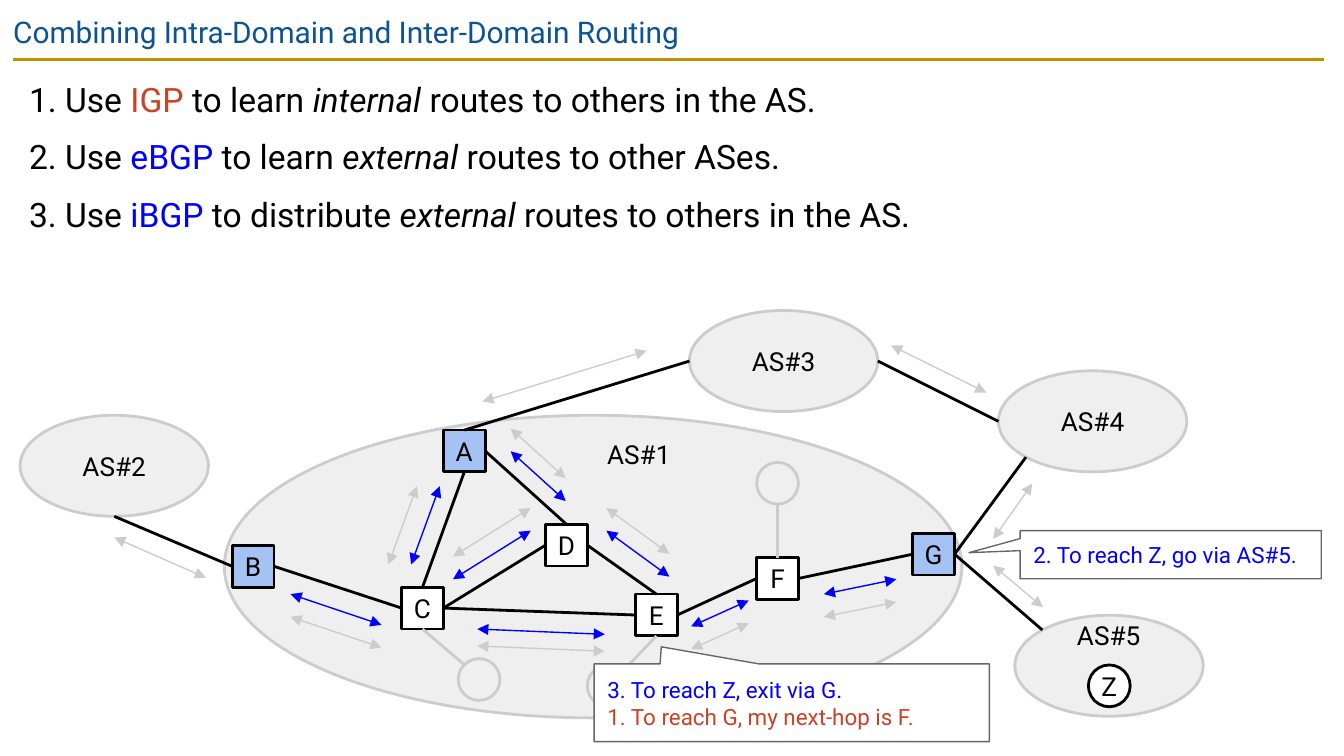
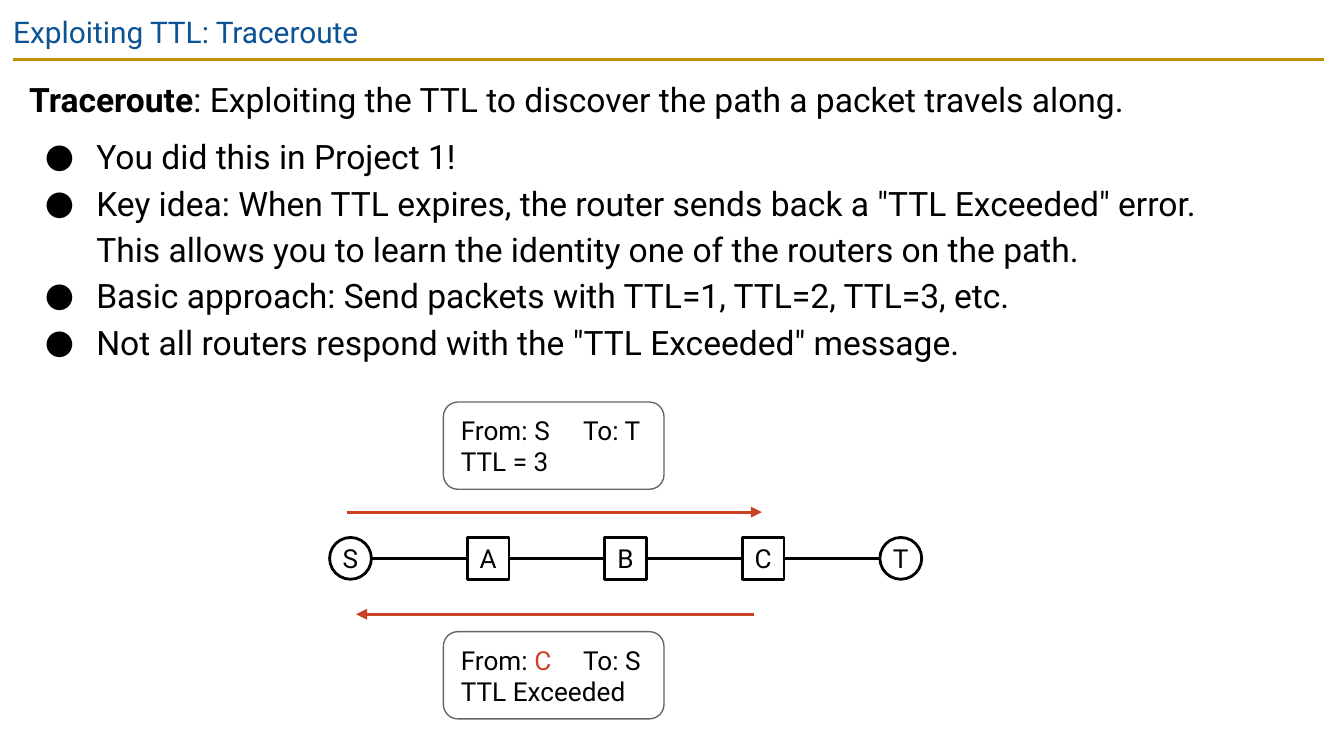
from lxml.etree import SubElement
from pptx import Presentation
from pptx.dml.color import RGBColor
from pptx.enum.shapes import MSO_CONNECTOR, MSO_SHAPE as Preset
from pptx.enum.text import MSO_ANCHOR as Anchor, MSO_AUTO_SIZE, PP_ALIGN as Align
from pptx.oxml.ns import qn
from pptx.util import Cm, Pt

FONT = "Roboto"
BLACK, WHITE, RED, BLUE = "000000", "FFFFFF", "CC4125", "0000FF"
TITLE_BLUE, GOLD, BORDER = "0B5394", "BF9000", "666666"
CLOUD_FILL, GRAY, EDGE_ROUTER = "EFEFEF", "CCCCCC", "A4C2F4"

NODE = 0.79
CLOUD_SIZE = (3.56, 1.91)
LABEL_SIZE = (2.31, 1.12)
PACKET_SIZE = (4.17, 1.65)
SIDES = {
    "top": (0.5, 0), "bottom": (0.5, 1), "left": (0, 0.5), "right": (1, 0.5),
    "top left": (0.146, 0.146), "top right": (0.854, 0.146), "bottom left": (0.146, 0.854),
}

ITALIC, BOLD = {"italic": True}, {"bold": True}
IN_RED, IN_BLUE = {"color": RED}, {"color": BLUE}

ROUTING_TITLE = "Combining Intra-Domain and Inter-Domain Routing"
ROUTING_STEPS = [
    [("1. Use ", {}), ("IGP", IN_RED), (" to learn ", {}), ("internal", ITALIC),
     (" routes to others in the AS.", {})],
    [("2. Use ", {}), ("eBGP", IN_BLUE), (" to learn ", {}), ("external", ITALIC),
     (" routes to other ASes.", {})],
    [("3. Use ", {}), ("iBGP", IN_BLUE), (" to distribute ", {}), ("external", ITALIC),
     (" routes to others in the AS.", {})],
]
MAIN_CLOUD = (4.24, 7.85, 13.94, 5.72)
CLOUDS = {
    "AS#2": (0.38, 7.85), "AS#3": (13.03, 5.87), "AS#4": (18.87, 7.01), "AS#5": (19.18, 11.63),
}
CLOUD_LABELS = {"AS#1": (10.92, 8.03), "AS#5": (19.8, 11.45)}
ROUTERS = {
    "A": (8.38, 8.13), "B": (4.39, 10.31), "C": (7.59, 11.1), "D": (10.31, 9.91),
    "E": (12.01, 11.23), "F": (14.3, 10.54), "G": (17.25, 10.08),
}
EDGE_ROUTERS = "ABG"
HOST_Z = (20.57, 12.57)
STUBS = {
    "C": (8.66, 12.45, "bottom", "top left"),
    "E": (11.1, 12.57, "bottom", "top right"),
    "F": (14.3, 8.74, "top", "bottom"),
}
LINKS = [
    ("B", "right", "C", "left"), ("C", "right", "D", "left"), ("C", "top", "A", "bottom"),
    ("A", "right", "D", "top"), ("C", "right", "E", "left"), ("E", "top", "D", "right"),
    ("E", "right", "F", "left"), ("F", "right", "G", "left"),
    ("AS#5", "top left", "G", "right"), ("AS#4", "bottom left", "G", "right"),
    ("AS#4", "left", "AS#3", "right"), ("AS#3", "left", "A", "top"),
    ("AS#2", "bottom", "B", "left"),
]
INTERNAL_SESSIONS = [
    ((5.49, 11.23), (7.21, 11.81), (0, 0.43)),
    ((9.02, 11.89), (11.43, 11.99), (0, 0.32)),
    ((13.06, 11.84), (14.15, 11.35), (0, 0.43)),
    ((15.57, 11.23), (16.94, 10.95), (0, 0.43)),
    ((12.65, 10.9), (11.46, 10.03), (0, -0.43)),
    ((8.56, 10.95), (10.03, 10.03), (0, -0.43)),
    ((7.77, 10.67), (8.31, 9.19), (-0.43, 0)),
    ((9.65, 8.53), (10.69, 9.47), (0, -0.43)),
]
EXTERNAL_SESSIONS = [
    ((2.16, 10.16), (3.89, 10.92)), ((12.22, 6.63), (9.12, 7.59)),
    ((18.64, 7.42), (16.84, 6.53)), ((19.51, 9.14), (18.77, 10.19)),
    ((19.71, 11.48), (18.77, 10.69)),
]
CALLOUTS = [
    ((11.23, 12.55, 7.47, 1.47), (-0.33, -0.72, 0),
     [[("3. To reach Z, exit via G.", IN_BLUE)], [("1. To reach G, my next-hop is F.", IN_RED)]]),
    ((19.28, 10.03, 5.69, 0.91), (-0.67, -0.04, 0),
     [[("2. To reach Z, go via AS#5.", IN_BLUE)]]),
]

TRACEROUTE_TITLE = "Exploiting TTL: Traceroute"
TRACEROUTE_INTRO = [
    ("Traceroute", BOLD),
    (": Exploiting the TTL to discover the path a packet travels along.", {}),
]
TRACEROUTE_BULLETS = [
    "You did this in Project 1!",
    'Key idea: When TTL expires, the router sends back a "TTL Exceeded" error.\n'
    "This allows you to learn the identity one of the routers on the path.",
    "Basic approach: Send packets with TTL=1, TTL=2, TTL=3, etc.",
    'Not all routers respond with the "TTL Exceeded" message.',
]
HOPS = "SABCT"
HOSTS = "ST"
HOP_LEFT, HOP_TOP, HOP_STEP = 6.23, 10.16, 2.6
PACKETS = [
    (7.6, ["From: S\tTo: T", "TTL = 3"]),
    (11.94, [[("From: ", {}), ("C", IN_RED), ("\tTo: S", {})], "TTL Exceeded"]),
]
PACKET_ARROWS = [((6.55, 9.68), (14.4, 9.68)), ((14.25, 11.61), (6.73, 11.61))]


def rgb(value):
    """Turn a hex string into a colour."""
    return RGBColor.from_string(value)


def write(shape, paragraphs, size, color=BLACK, align=Align.LEFT, anchor=Anchor.MIDDLE, margin=0.25):
    """Fill a shape with plain strings or lists of (text, style) pieces."""
    frame = shape.text_frame
    frame.word_wrap = True
    frame.auto_size = MSO_AUTO_SIZE.NONE
    frame.vertical_anchor = anchor
    frame.margin_left = frame.margin_right = Cm(margin)
    frame.margin_top = frame.margin_bottom = Cm(margin)
    for number, content in enumerate(paragraphs):
        paragraph = frame.add_paragraph() if number else frame.paragraphs[0]
        paragraph.alignment = align
        styles = []
        if isinstance(content, str):
            paragraph.text = content
        else:
            for text, style in content:
                paragraph.add_run().text = text
                styles.append(style)
        for position, run in enumerate(paragraph.runs):
            style = styles[position] if styles else {}
            run.font.name, run.font.size = FONT, Pt(size)
            run.font.color.rgb = rgb(style.get("color", color))
            run.font.bold = style.get("bold", False)
            run.font.italic = style.get("italic", False)
        for line_break in paragraph._p.findall(qn("a:br")):
            properties = SubElement(line_break, qn("a:rPr"), sz=str(size * 100))
            SubElement(properties, qn("a:latin"), typeface=FONT)


def place(shape, left, top, width, height):
    """Move and size a placeholder."""
    shape.left, shape.top, shape.width, shape.height = map(Cm, (left, top, width, height))


def add_preset(slide, preset, box, fill=None, line=BLACK, weight=1.5):
    """Add a flat preset shape, unfilled unless a fill is given."""
    shape = slide.shapes.add_shape(preset, *map(Cm, box))
    shape.shadow.inherit = False
    if fill:
        shape.fill.solid()
        shape.fill.fore_color.rgb = rgb(fill)
    else:
        shape.fill.background()
    shape.line.color.rgb = rgb(line)
    shape.line.width = Pt(weight)
    return shape


def add_line(slide, start, end, color=BLACK, weight=1.5, heads=()):
    """Add a straight connector with optional triangle heads."""
    points = map(Cm, (*start, *end))
    connector = slide.shapes.add_connector(MSO_CONNECTOR.STRAIGHT, *points)
    connector.line.color.rgb = rgb(color)
    connector.line.width = Pt(weight)
    properties = connector._element.spPr
    for head in heads:
        SubElement(properties.find(qn("a:ln")), qn(f"a:{head}"), type="triangle")
    SubElement(properties, qn("a:effectLst"))


def add_session(slide, start, end, color):
    """Add a thin two-headed arrow."""
    add_line(slide, start, end, color, 0.75, ("headEnd", "tailEnd"))


def add_node(slide, name, left, top, preset=Preset.RECTANGLE, fill=WHITE):
    """Add a lettered router or host and return its box."""
    box = (left, top, NODE, NODE)
    shape = add_preset(slide, preset, box, fill)
    write(shape, [name], 14, align=Align.CENTER, margin=0)
    return box


def side_point(box, side):
    """Return the point on the named side of a box."""
    left, top, width, height = box
    across, down = SIDES[side]
    return left + across * width, top + down * height


def add_base_slide(presentation, title, paragraphs, body_height):
    """Add a slide with its title, rule and body text."""
    slide = presentation.slides.add_slide(presentation.slide_layouts[1])
    add_line(slide, (0.25, 1.12), (25.02, 1.12), GOLD)
    heading, body = slide.placeholders
    place(heading, 0, 0, 23.67, 1.09)
    write(heading, [title], 16, TITLE_BLUE, anchor=Anchor.TOP)
    place(body, 0.3, 1.12, 24.74, body_height)
    write(body, paragraphs, 18, anchor=Anchor.TOP)
    previous_bulleted = False
    for number, (paragraph, content) in enumerate(zip(body.text_frame.paragraphs, paragraphs)):
        bulleted = isinstance(content, str)
        paragraph.line_spacing = 1.15
        paragraph.space_before = Pt(6 if number and not previous_bulleted else 0)
        properties = paragraph._p.get_or_add_pPr()
        properties.set("marL", str(Cm(1.27) if bulleted else 0))
        properties.set("indent", str(Cm(-0.97) if bulleted else 0))
        if bulleted:
            color = SubElement(properties, qn("a:buClr"))
            SubElement(color, qn("a:srgbClr"), val=BLACK)
            SubElement(properties, qn("a:buFont"), typeface=FONT)
            SubElement(properties, qn("a:buChar"), char="●")
        else:
            SubElement(properties, qn("a:buNone"))
        previous_bulleted = bulleted
    return slide


def build_routing_slide(presentation):
    """Build the map of routers and neighbouring systems."""
    slide = add_base_slide(presentation, ROUTING_TITLE, ROUTING_STEPS, 4.32)
    add_preset(slide, Preset.OVAL, MAIN_CLOUD, CLOUD_FILL, GRAY)
    boxes = {}
    for name, corner in CLOUDS.items():
        boxes[name] = (*corner, *CLOUD_SIZE)
        cloud = add_preset(slide, Preset.OVAL, boxes[name], CLOUD_FILL, GRAY)
        if name not in CLOUD_LABELS:
            write(cloud, [name], 14, align=Align.CENTER)
    for name, corner in CLOUD_LABELS.items():
        label = slide.shapes.add_textbox(*map(Cm, (*corner, *LABEL_SIZE)))
        write(label, [name], 14, align=Align.CENTER, anchor=Anchor.TOP)
    for name, corner in ROUTERS.items():
        fill = EDGE_ROUTER if name in EDGE_ROUTERS else WHITE
        boxes[name] = add_node(slide, name, *corner, fill=fill)
    add_node(slide, "Z", *HOST_Z, Preset.OVAL)
    for router, (left, top, router_side, stub_side) in STUBS.items():
        stub = (left, top, NODE, NODE)
        add_preset(slide, Preset.OVAL, stub, line=GRAY)
        add_line(slide, side_point(boxes[router], router_side), side_point(stub, stub_side), GRAY)
    for first, first_side, second, second_side in LINKS:
        add_line(slide, side_point(boxes[first], first_side), side_point(boxes[second], second_side))
    for start, end, shift in INTERNAL_SESSIONS:
        add_session(slide, start, end, BLUE)
        shifted = [[a + b for a, b in zip(point, shift)] for point in (start, end)]
        add_session(slide, *shifted, GRAY)
    for start, end in EXTERNAL_SESSIONS:
        add_session(slide, start, end, GRAY)
    for box, adjustments, lines in CALLOUTS:
        callout = add_preset(slide, Preset.ROUNDED_RECTANGULAR_CALLOUT, box, WHITE, BORDER, 0.75)
        for index, value in enumerate(adjustments):
            callout.adjustments[index] = value
        write(callout, lines, 12)


def build_traceroute_slide(presentation):
    """Build the chain of hops with its two packets."""
    paragraphs = [TRACEROUTE_INTRO, *TRACEROUTE_BULLETS]
    slide = add_base_slide(presentation, TRACEROUTE_TITLE, paragraphs, 6.02)
    hops = []
    for number, name in enumerate(HOPS):
        preset = Preset.OVAL if name in HOSTS else Preset.RECTANGLE
        hops.append(add_node(slide, name, HOP_LEFT + number * HOP_STEP, HOP_TOP, preset))
    for near, far in zip(hops, hops[1:]):
        add_line(slide, side_point(near, "right"), side_point(far, "left"))
    for top, lines in PACKETS:
        box = (8.38, top, *PACKET_SIZE)
        packet = add_preset(slide, Preset.ROUNDED_RECTANGLE, box, line=BORDER, weight=0.75)
        write(packet, lines, 14)
        properties = packet.text_frame.paragraphs[0]._p.get_or_add_pPr()
        tabs = SubElement(properties, qn("a:tabLst"))
        SubElement(tabs, qn("a:tab"), pos=str(Cm(2.31)), algn="l")
    for start, end in PACKET_ARROWS:
        add_line(slide, start, end, RED, heads=("tailEnd",))


def main():
    """Build and save the presentation."""
    presentation = Presentation()
    presentation.slide_width, presentation.slide_height = Cm(25.4), Cm(14.29)
    build_routing_slide(presentation)
    build_traceroute_slide(presentation)
    presentation.save("out.pptx")


if __name__ == "__main__":
    main()
